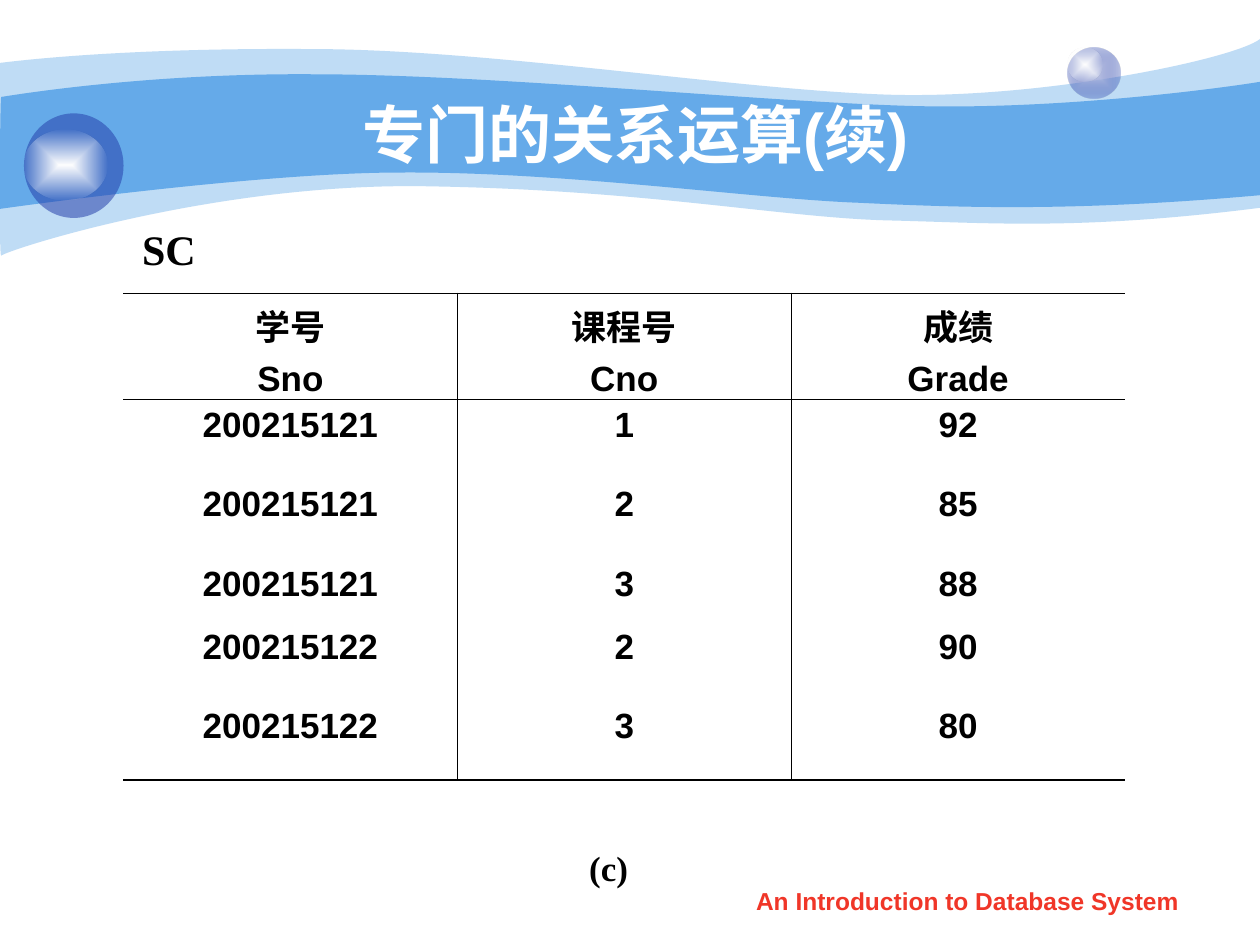
from typing import NamedTuple

from lxml import etree
from pptx import Presentation
from pptx import util as u
from pptx.dml.color import RGBColor
from pptx.enum import shapes, text
from pptx.oxml.ns import qn

COLORS = {"wave": "65AAE9", "navy": "233DA9", "haze": "C6CCE8", "white": "FFFFFF",
          "glow_edge": "FEFEFE", "black": "000000", "red": "F03628"}


class Wave(NamedTuple):
    start: tuple
    top: list
    right: tuple
    bottom: list
    alpha: int


class Ball(NamedTuple):
    box: tuple
    center: str
    edge: str
    center_alpha: int
    edge_alpha: int


class Label(NamedTuple):
    box: tuple
    words: str
    size: int
    font: str
    color: str
    anchor: text.MSO_ANCHOR = text.MSO_ANCHOR.TOP
    wrap: bool = True


WAVES = [
    Wave((0, 0.5),
         [(0.24, 0.47), (1.07, 0.38), (2.47, 0.39), (3.86, 0.39), (5.75, 0.7), (6.99, 0.75),
          (8.22, 0.8), (9.8, 0.47), (10, 0.31)],
         (10, 1.65),
         [(8.58, 1.83), (7.87, 1.77), (7.05, 1.75), (6.22, 1.73), (5.15, 1.51), (3.43, 1.48),
          (1.72, 1.44), (0.04, 1.99), (0.01, 2.03), (-0.01, 2.08), (0, 0.75), (0, 0.5)], 41),
    Wave((0.01, 0.77),
         [(0.02, 0.77), (1.1, 0.58), (2.48, 0.59), (3.86, 0.59), (5.95, 0.8), (7.18, 0.84),
          (8.41, 0.88), (9.76, 0.69), (10, 0.65)],
         (10, 1.55),
         [(8.53, 1.68), (7.65, 1.65), (6.82, 1.61), (5.99, 1.58), (4.47, 1.36), (3.17, 1.37),
          (2.03, 1.37), (-0.02, 1.66), (-0.01, 1.66), (0, 1.66), (0, 0.77), (0.01, 0.77)], 100),
]
BALLS = [
    Ball((8.47, 0.38, 0.42, 0.4), "haze", "navy", 100, 31),
    Ball((8.47, 0.38, 0.28, 0.27), "white", "glow_edge", 100, 0),
    Ball((0.19, 0.9, 0.79, 0.83), "navy", "navy", 53, 53),
    Ball((0.19, 1.03, 0.66, 0.56), "white", "glow_edge", 100, 0),
]
LABELS = [
    Label((1, 0.75, 8.08, 0.62), "专门的关系运算(续)", 36, "Arial", "white", text.MSO_ANCHOR.MIDDLE),
    Label((4.37, 6.67, 0.92, 0.77), "(c)", 20, "Times New Roman", "black"),
    Label((0.75, 1.7, 1.18, 0.55), "SC", 24, "Times New Roman", "black",
          text.MSO_ANCHOR.MIDDLE, False),
    Label((5.71, 6.98, 3.94, 0.35), "An Introduction to Database System", 14, "Arial", "red"),
]
GRADES = [
    ("学号\nSno", "课程号\nCno", "成绩\nGrade"),
    ("200215121", "1", "92"),
    ("200215121", "2", "85"),
    ("200215121", "3", "88"),
    ("200215122", "2", "90"),
    ("200215122", "3", "80"),
]
ROW_HEIGHTS = [0.84, 0.63, 0.63, 0.5, 0.63, 0.63]
COLUMN_WIDTH = 2.65
THICK, THIN = 1.08, 0.45


def inches(values: tuple) -> list:
    return [u.Inches(v) for v in values]


def add_color(parent, color: str, alpha: int = 100) -> None:
    clr = etree.SubElement(parent, qn("a:srgbClr"), val=COLORS[color])
    if alpha < 100:
        etree.SubElement(clr, qn("a:alpha"), val=str(alpha * 1000))


def replace_fill(sp, fill) -> None:
    sp.shadow.inherit = False
    sp.line.fill.background()
    sp.fill.background()
    pr = sp._element.spPr
    pr.replace(pr.find(qn("a:noFill")), fill)


def solid(color: str, alpha: int):
    fill = etree.Element(qn("a:solidFill"))
    add_color(fill, color, alpha)
    return fill


def radial(ball: Ball):
    fill = etree.Element(qn("a:gradFill"), rotWithShape="1")
    stops = etree.SubElement(fill, qn("a:gsLst"))
    for pos, color, alpha in (("0", ball.center, ball.center_alpha),
                              ("100000", ball.edge, ball.edge_alpha)):
        add_color(etree.SubElement(stops, qn("a:gs"), pos=pos), color, alpha)
    gradient = etree.SubElement(fill, qn("a:path"), {"path": "rect"})
    etree.SubElement(gradient, qn("a:fillToRect"), dict.fromkeys("ltrb", "50000"))
    return fill


def bend(lines: list) -> None:
    for i in range(0, len(lines), 3):
        first, *others = lines[i:i + 3]
        curve = etree.Element(qn("a:cubicBezTo"))
        first.addprevious(curve)
        for line in (first, *others):
            curve.append(line[0])
            line.getparent().remove(line)


def draw_wave(s, wave: Wave) -> None:
    points = [*wave.top, wave.right, *wave.bottom]
    builder = s.shapes.build_freeform(*inches(wave.start))
    builder.add_line_segments([inches(point) for point in points], close=True)
    sp = builder.convert_to_shape()
    lines = list(sp._element.spPr.iter(qn("a:lnTo")))
    corner = len(wave.top)
    bend(lines[:corner])
    bend(lines[corner + 1:corner + 1 + len(wave.bottom)])
    replace_fill(sp, solid("wave", wave.alpha))


def draw_ball(s, ball: Ball) -> None:
    sp = s.shapes.add_shape(shapes.MSO_SHAPE.OVAL, *inches(ball.box))
    flat = ball.center == ball.edge
    replace_fill(sp, solid(ball.center, ball.center_alpha) if flat else radial(ball))


def style(p, size: int, font: str, color: str) -> None:
    p.alignment = text.PP_ALIGN.CENTER
    p.font.size = u.Pt(size)
    p.font.name = font
    p.font.bold = True
    p.font.color.rgb = RGBColor.from_string(COLORS[color])


def draw_label(s, label: Label) -> None:
    tf = s.shapes.add_textbox(*inches(label.box)).text_frame
    tf.word_wrap = label.wrap
    tf.vertical_anchor = label.anchor
    tf.text = label.words
    style(tf.paragraphs[0], label.size, label.font, label.color)


def set_borders(cell, widths: dict) -> None:
    pr = cell._tc.get_or_add_tcPr()
    for side in "LRTB":
        width = widths.get(side, 0)
        ln = etree.SubElement(pr, qn(f"a:ln{side}"), w=str(u.Pt(width)))
        if width:
            add_color(etree.SubElement(ln, qn("a:solidFill")), "black")
        else:
            etree.SubElement(ln, qn("a:noFill"))


def draw_table(s) -> None:
    rows, cols = len(GRADES), len(GRADES[0])
    box = inches((0.98, 2.33, COLUMN_WIDTH * cols, sum(ROW_HEIGHTS)))
    table = s.shapes.add_table(rows, cols, *box).table
    table.first_row = table.horz_banding = False
    for row, height in zip(table.rows, ROW_HEIGHTS):
        row.height = u.Inches(height)
    rules = {0: THICK, 1: THIN, rows: THICK}
    for i, values in enumerate(GRADES):
        for j, value in enumerate(values):
            cell = table.cell(i, j)
            set_borders(cell, {"L": THIN if j else 0, "R": THIN if j < cols - 1 else 0,
                               "T": rules.get(i, 0), "B": rules.get(i + 1, 0)})
            cell.fill.background()
            cell.margin_bottom = u.Inches(0.05 if i else 0)
            cell.text = value
            for k, p in enumerate(cell.text_frame.paragraphs):
                style(p, 20, "Arial", "black")
                if k:
                    p.space_before = u.Pt(5)


def main() -> None:
    prs = Presentation()
    prs.slide_width, prs.slide_height = inches((10, 7.5))
    s = prs.slides.add_slide(prs.slide_layouts[6])
    for wave in WAVES:
        draw_wave(s, wave)
    for ball in BALLS:
        draw_ball(s, ball)
    draw_table(s)
    for label in LABELS:
        draw_label(s, label)
    prs.save("out.pptx")


if __name__ == "__main__":
    main()
